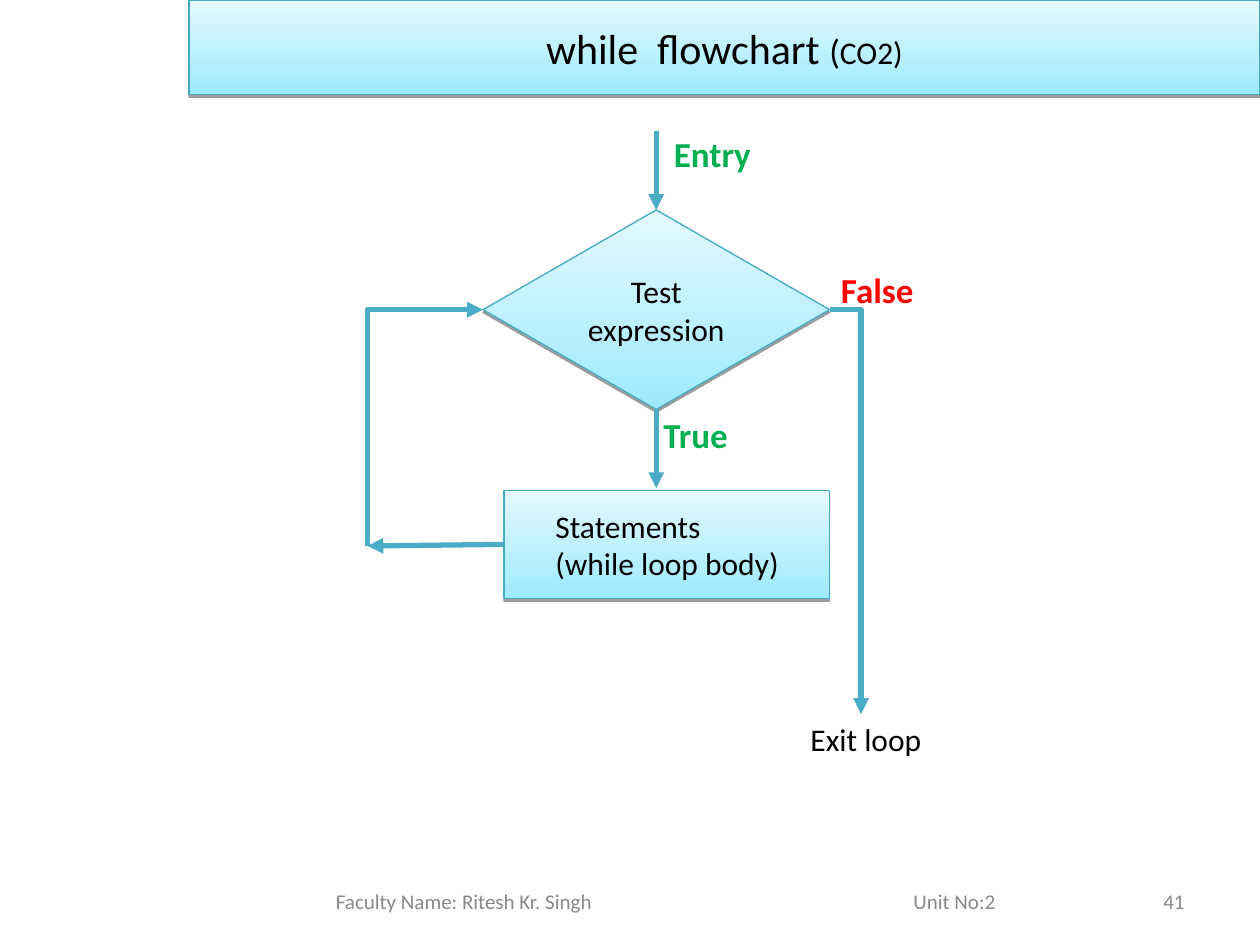
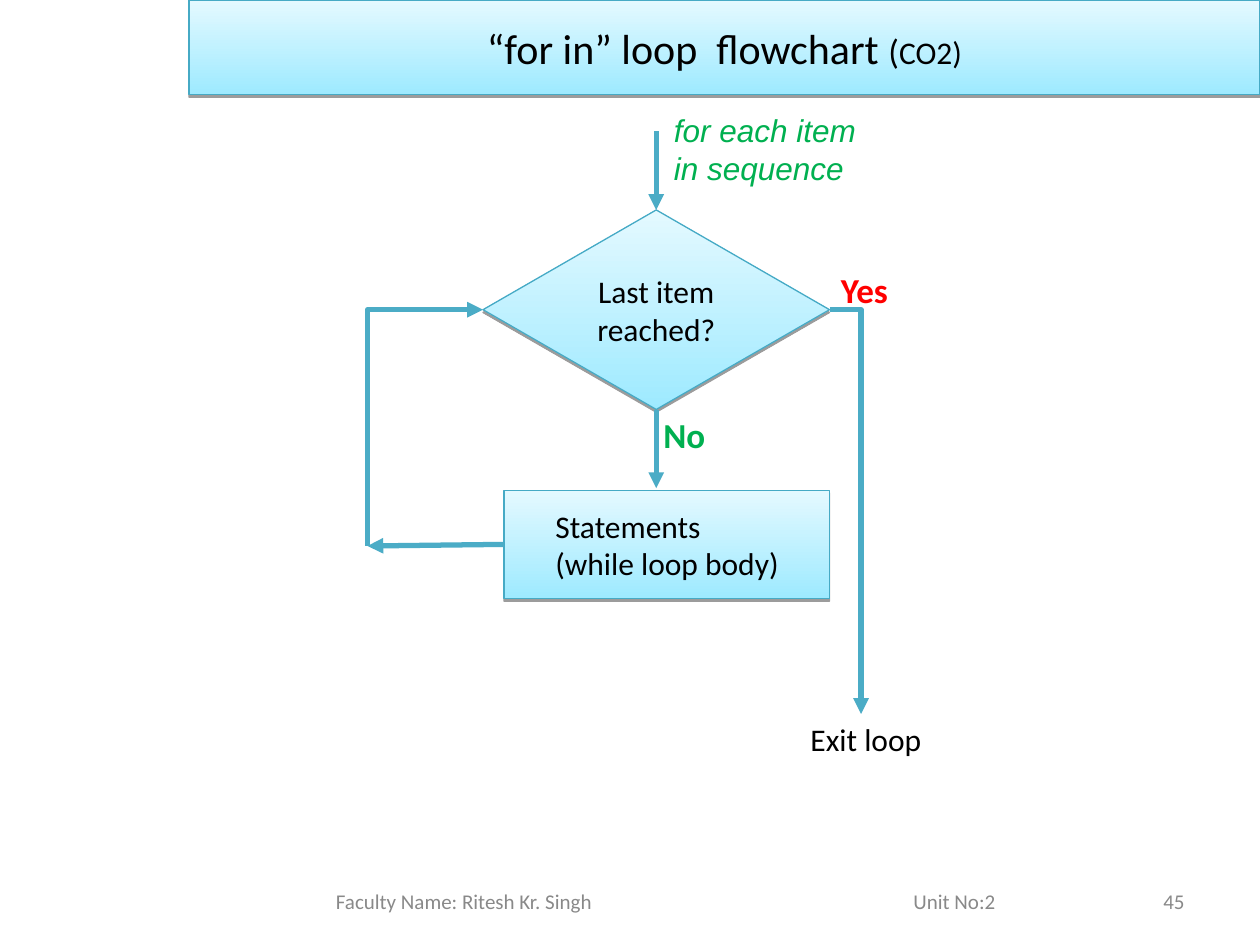
from dataclasses import dataclass

from lxml import etree
from pptx import Presentation
from pptx import util as u
from pptx.dml.color import RGBColor
from pptx.enum import shapes, text
from pptx.oxml import ns

CELL = u.Inches(1) // 12  # the slide is a grid of 120 columns by 90 rows
COLUMNS, ROWS = 120, 90
BLACK, GREY, GREEN, RED = "000000", "898989", "00B050", "FF0000"
ARROW, EDGE = "4BACC6", "46AAC5"
GRADIENT = ("9EEAFF", "E4F9FF")
CENTER, LEFT, RIGHT = text.PP_ALIGN.CENTER, text.PP_ALIGN.LEFT, text.PP_ALIGN.RIGHT
TOP, MIDDLE = text.MSO_ANCHOR.TOP, text.MSO_ANCHOR.MIDDLE


@dataclass
class Box:
    """A region of the slide, measured in grid cells."""
    left: float
    top: float
    width: float
    height: float

    def inner(self, left, top, width, height):
        return Box(self.left + left, self.top + top, width, height)

    def point(self, across, down):
        return self.left + across, self.top + down

    def lengths(self):
        return [cells(n) for n in (self.left, self.top, self.width, self.height)]


def cells(count):
    return u.Emu(round(count * CELL))


def color(value):
    return RGBColor.from_string(value)


def child(parent, tag, **attributes):
    return etree.SubElement(parent, ns.qn(tag), attributes)


def write(shape, spans, tint=BLACK, align=LEFT, anchor=TOP, font="Calibri",
          bold=False, italic=False, indent=0):
    """Fill a shape with one paragraph of (words, size) spans."""
    frame = shape.text_frame
    frame.word_wrap = True
    frame.vertical_anchor = anchor
    frame.margin_left = u.Inches(0.1) + cells(indent)
    para = frame.paragraphs[0]
    para.text = spans[0][0]
    for words, _ in spans[1:]:
        para.add_run().text = words
    para.alignment = align
    sizes = [size for _, size in spans]
    for number, run in enumerate(para.runs):
        run.font.size = u.Pt(sizes[min(number, len(sizes) - 1)])
        run.font.name = font
        run.font.bold, run.font.italic = bold, italic
        run.font.color.rgb = color(tint)
    return para


def label(page, box, words, size=18, **style):
    return write(page.shapes.add_textbox(*box.lengths()), [(words, size)], **style)


def panel(page, kind, box, spans, **style):
    """Draw a shaded shape with a thin edge and a hard drop shadow."""
    shape = page.shapes.add_shape(kind, *box.lengths())
    shape.fill.gradient()
    shape.fill.gradient_angle = 90
    for stop, tint in zip(shape.fill.gradient_stops, GRADIENT):
        stop.color.rgb = color(tint)
    shape.line.color.rgb = color(EDGE)
    shape.line.width = u.Pt(0.75)
    shape.shadow.inherit = False
    effects = shape.element.spPr.find(ns.qn("a:effectLst"))
    shadow = child(effects, "a:outerShdw", blurRad="0", dist=str(u.Pt(1.6)),
                   dir="5400000", rotWithShape="0")
    child(child(shadow, "a:srgbClr", val=BLACK), "a:alpha", val="38000")
    write(shape, spans, anchor=MIDDLE, **style)


def arrow(page, start, end, kind=shapes.MSO_CONNECTOR.STRAIGHT):
    ends = [cells(n) for n in (*start, *end)]
    connector = page.shapes.add_connector(kind, *ends)
    connector.line.color.rgb = color(ARROW)
    connector.line.width = u.Pt(3)
    properties = connector.element.spPr
    child(properties.find(ns.qn("a:ln")), "a:tailEnd", type="triangle")
    child(properties, "a:effectLst")
    return connector


def bent_arrow(page, start, end, upward_first=False):
    """Draw an arrow with one corner: across then down, or up then right."""
    corners = start, end
    if upward_first:
        middle = [(a + b) / 2 for a, b in zip(start, end)]
        half = abs(end[1] - start[1]) / 2, abs(end[0] - start[0]) / 2
        corners = [[m + sign * h for m, h in zip(middle, half)] for sign in (-1, 1)]
    connector = arrow(page, *corners, kind=shapes.MSO_CONNECTOR.ELBOW)
    properties = connector.element.spPr
    properties.find(ns.qn("a:prstGeom")).set("prst", "bentConnector2")
    if upward_first:
        frame = properties.find(ns.qn("a:xfrm"))
        for name, value in (("rot", "5400000"), ("flipH", "1"), ("flipV", "1")):
            frame.set(name, value)


def title_band(page, box, title):
    panel(page, shapes.MSO_SHAPE.RECTANGLE, box,
          [(title + " ", 24), ("(", 20), ("CO2)", 18)], align=CENTER)


def footer(page, box, number):
    style = dict(size=12, tint=GREY, anchor=MIDDLE)
    para = label(page, box.inner(0, 0, 91, box.height),
                 "Faculty Name: Ritesh Kr. Singh\tUnit No:2", indent=12.8, **style)
    stops = child(para._p.get_or_add_pPr(), "a:tabLst")
    child(stops, "a:tab", pos=str(cells(55)), algn="l")
    label(page, box.inner(68, 0, 28, box.height), str(number), align=RIGHT, **style)


def flowchart(page, area, question, leave, stay):
    """Draw a loop: a test, its body, the way back and the way out."""
    axis, test_row, exit_column, exit_row = 27.5, 19.5, 47, 58
    test = area.inner(11, 10, 33, 19)
    body = area.inner(13, 36.7, 31, 10.3)
    back = area.point(0, 42)

    panel(page, shapes.MSO_SHAPE.FLOWCHART_DECISION, test, [(question, 18)], align=CENTER)
    panel(page, shapes.MSO_SHAPE.FLOWCHART_PROCESS, body,
          [("Statements\v(while loop body)", 18)], indent=3.7)

    for top in (2.5, 29):
        arrow(page, area.point(axis, top), area.point(axis, top + 7.5))
    arrow(page, (body.left, body.top + body.height / 2), back)
    bent_arrow(page, back, area.point(11, test_row), upward_first=True)
    bent_arrow(page, area.point(44, test_row), area.point(exit_column, exit_row))

    label(page, area.inner(43.9, 15, 10.2, 5.3), leave, 20, tint=RED, bold=True)
    label(page, area.inner(27, 28.8, 9.5, 5.3), stay, 20, tint=GREEN, bold=True)
    label(page, area.inner(exit_column - 6, exit_row, 16, 4.8), "Exit loop")


def loop_slide(deck, number, title, question, leave, stay):
    page = deck.slides.add_slide(deck.slide_layouts[6])
    area = Box(35, 10, 56, 63)
    footer(page, Box(18, 83.4, 102, 4.8), number)
    title_band(page, Box(18, 0, 102, 9), title)
    flowchart(page, area, question, leave, stay)
    return page, area


def main():
    deck = Presentation()
    deck.slide_width, deck.slide_height = cells(COLUMNS), cells(ROWS)

    page, area = loop_slide(deck, 41, "while  flowchart", "Test expression", "False", "True")
    label(page, area.inner(28, 2, 12, 5.3), "Entry", 20, tint=GREEN, bold=True)

    page, area = loop_slide(deck, 45, "“for in” loop  flowchart",
                            "Last item reached?", "Yes", "No")
    label(page, area.inner(28, 0, 21, 8.4), "for each item in sequence",
          tint=GREEN, font="Arial", italic=True)

    deck.save("out.pptx")


if __name__ == "__main__":
    main()
